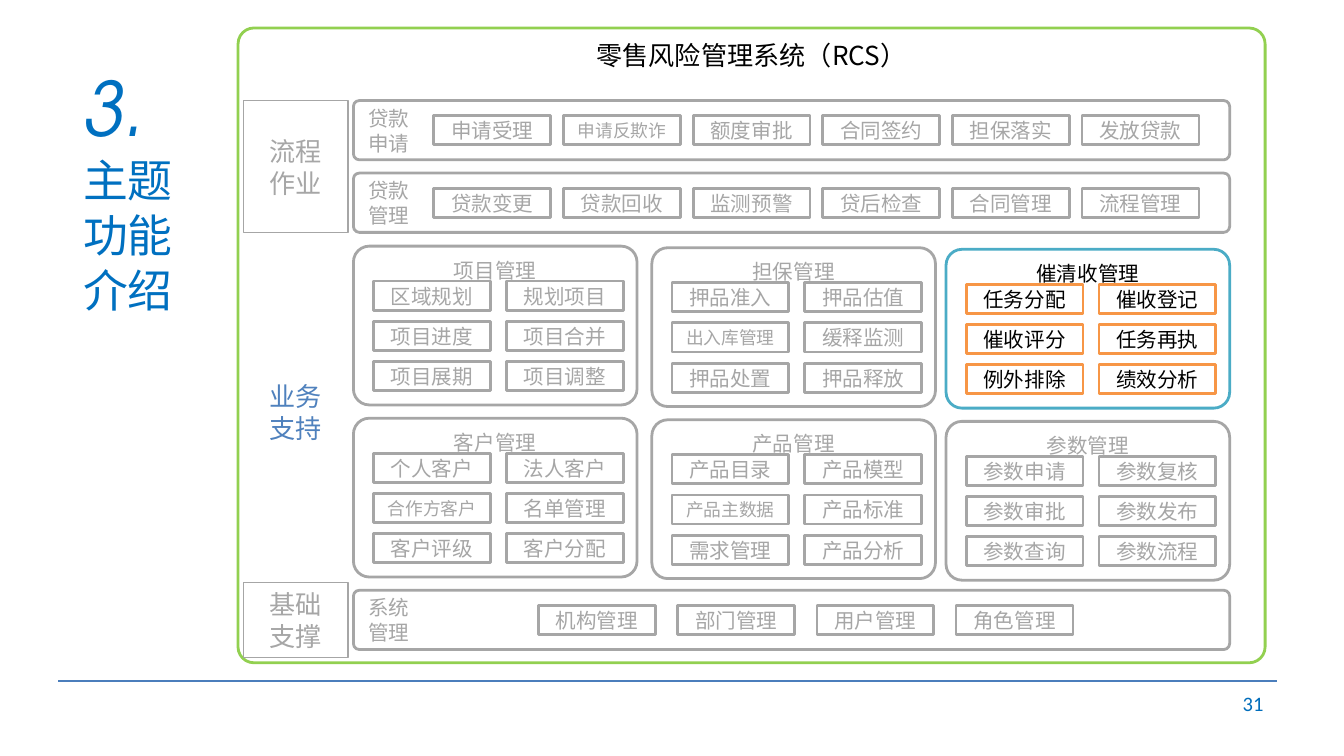
"""Build the retail risk management system (RCS) function map slide."""
from lxml import etree
from pptx import Presentation
from pptx import util as u
from pptx.dml import color
from pptx.enum import shapes, text
from pptx.oxml import ns

SYSTEM = "零售风险管理系统（RCS）"
CHAPTER = ("3.", "主题\n功能\n介绍")
PAGE = "31"
STAGES = [
    # label, top, height, colour, outlined
    ("流程\n作业", 1.9, 2.49, "muted", True),
    ("业务\n支持", 4.65, 6.25, "stage", False),
    ("基础\n支撑", 11.0, 1.42, "muted", True),
]
BANDS = [
    # label, top, first chip left, chip pitch, chips
    ("贷款\n申请", 1.9, 8.2, 2.45,
     ["申请受理", "申请反欺诈", "额度审批", "合同签约", "担保落实", "发放贷款"]),
    ("贷款\n管理", 3.27, 8.2, 2.45,
     ["贷款变更", "贷款回收", "监测预警", "贷后检查", "合同管理", "流程管理"]),
    ("系统\n管理", 11.15, 10.18, 2.63,
     ["机构管理", "部门管理", "用户管理", "角色管理"]),
]
PANEL_ROWS = [
    (4.65, [
        ("项目管理", ["区域规划", "规划项目", "项目进度", "项目合并", "项目展期", "项目调整"]),
        ("担保管理", ["押品准入", "押品估值", "出入库管理", "缓释监测", "押品处置", "押品释放"]),
        ("催清收管理", ["任务分配", "催收登记", "催收评分", "任务再执", "例外排除", "绩效分析"]),
    ]),
    (7.9, [
        ("客户管理", ["个人客户", "法人客户", "合作方客户", "名单管理", "客户评级", "客户分配"]),
        ("产品管理", ["产品目录", "产品模型", "产品主数据", "产品标准", "需求管理", "产品分析"]),
        ("参数管理", ["参数申请", "参数复核", "参数审批", "参数发布", "参数查询", "参数流程"]),
    ]),
]
HIGHLIGHT = "催清收管理"

THEME = {
    "color": {"muted": "A6A6A6", "ink": "000000", "paper": "FFFFFF", "frame": "92D050",
              "panel": "4BACC6", "chip": "F79646", "stage": "4F81BD",
              "chapter": "0070C0", "page": "006DBB", "rule": "4B7EBC"},
    "size": {"number": 40, "chapter": 24, "head": 14, "body": 11, "small": 9.5},
    "font": {"body": "Noto Sans CJK SC", "number": "TeX Gyre Adventor", "page": "Calibri"},
    "leading": 1.22,
}
PANEL_LEFTS = (6.68, 12.32, 17.88)
PANEL_SIZE = (5.36, 3.0)
PANEL_STEP = 0.03
BAND_LEFT, BAND_WIDTH, BAND_HEIGHT = 6.68, 16.56, 1.12
CHIP_WIDTH, CHIP_HEIGHT = 2.21, 0.55
STAGE_LEFT, STAGE_WIDTH = 4.6, 1.98


def rgb(name):
    return color.RGBColor.from_string(THEME["color"][name])


def write(box, words, size="body", ink="muted", font="body", align="CENTER",
          anchor="MIDDLE", italic=False, more=False):
    frame = box.text_frame
    frame.word_wrap = True
    frame.vertical_anchor = getattr(text.MSO_ANCHOR, anchor)
    points = THEME["size"][size]
    for index, line in enumerate(words.split("\n")):
        para = frame.add_paragraph() if index or more else frame.paragraphs[0]
        para.alignment = getattr(text.PP_ALIGN, align)
        para.line_spacing = u.Pt(round(points * THEME["leading"], 1))
        run = para.add_run()
        run.text = line
        run.font.size = u.Pt(points)
        run.font.name = THEME["font"][font]
        run.font.italic = italic
        run.font.color.rgb = rgb(ink)
        east = etree.SubElement(run.font._element, ns.qn("a:ea"))
        east.set("typeface", THEME["font"][font])


def place(slide, at, line, kind="RECTANGLE", fill="paper", radius=None, weight=1.5):
    shape = slide.shapes.add_shape(getattr(shapes.MSO_SHAPE, kind), *map(u.Cm, at))
    shape.shadow.inherit = False
    if radius:
        shape.adjustments[0] = radius
    if fill:
        shape.fill.solid()
        shape.fill.fore_color.rgb = rgb(fill)
    else:
        shape.fill.background()
    shape.line.color.rgb = rgb(line)
    shape.line.width = u.Pt(weight)
    return shape


def label(slide, at):
    return slide.shapes.add_textbox(*map(u.Cm, at))


def add_chip(slide, left, top, words, line="muted", ink="muted"):
    chip = place(slide, (left, top, CHIP_WIDTH, CHIP_HEIGHT), line)
    write(chip, words, size="small" if len(words) > 4 else "body", ink=ink)


def add_band(slide, name, top, first, pitch, chips):
    band = place(slide, (BAND_LEFT, top, BAND_WIDTH, BAND_HEIGHT), "muted",
                 "ROUNDED_RECTANGLE", radius=0.1)
    write(band, name, align="LEFT")
    for index, words in enumerate(chips):
        add_chip(slide, first + index * pitch, top + (BAND_HEIGHT - CHIP_HEIGHT) / 2, words)


def add_panel(slide, left, top, name, chips):
    active = name == HIGHLIGHT
    ink = "ink" if active else "muted"
    panel = place(slide, (left, top, *PANEL_SIZE), "panel" if active else "muted",
                  "ROUNDED_RECTANGLE", radius=0.1)
    write(panel, name, ink=ink, anchor="TOP")
    for index, words in enumerate(chips):
        row, column = divmod(index, 2)
        add_chip(slide, left + 0.38 + column * 2.51, top + 0.66 + row * 0.76, words,
                 "chip" if active else "muted", ink)


def main():
    deck = Presentation()
    deck.slide_width, deck.slide_height = u.Cm(25.4), u.Cm(14.28)
    slide = deck.slides.add_slide(deck.slide_layouts[6])

    rule = slide.shapes.add_connector(shapes.MSO_CONNECTOR.STRAIGHT,
                                      *map(u.Cm, (1.1, 12.86, 24.13, 12.86)))
    rule.line.color.rgb = rgb("rule")
    rule.line.width = u.Pt(0.75)
    etree.SubElement(rule._element.spPr, ns.qn("a:effectLst"))
    write(label(slide, (18.21, 12.9, 5.92, 0.76)), PAGE, ink="page", font="page", align="RIGHT")

    system = place(slide, (4.5, 0.53, 19.41, 11.99), "frame", "ROUNDED_RECTANGLE", radius=0.025)
    write(system, SYSTEM, size="head", ink="ink", anchor="TOP")

    for band in BANDS:
        add_band(slide, *band)
    for top, panels in PANEL_ROWS:
        for column, (left, panel) in enumerate(zip(PANEL_LEFTS, panels)):
            add_panel(slide, left, top + column * PANEL_STEP, *panel)

    for name, top, height, ink, outlined in STAGES:
        at = (STAGE_LEFT, top, STAGE_WIDTH, height)
        stage = place(slide, at, ink, fill=None, weight=0.75) if outlined else label(slide, at)
        write(stage, name, size="head", ink=ink)

    number, topic = CHAPTER
    chapter = label(slide, (1.32, 1.02, 2.51, 5.59))
    write(chapter, number, size="number", ink="chapter", font="number", align="LEFT",
          anchor="TOP", italic=True)
    write(chapter, topic, size="chapter", ink="chapter", align="LEFT", anchor="TOP", more=True)
    deck.save("out.pptx")


if __name__ == "__main__":
    main()
